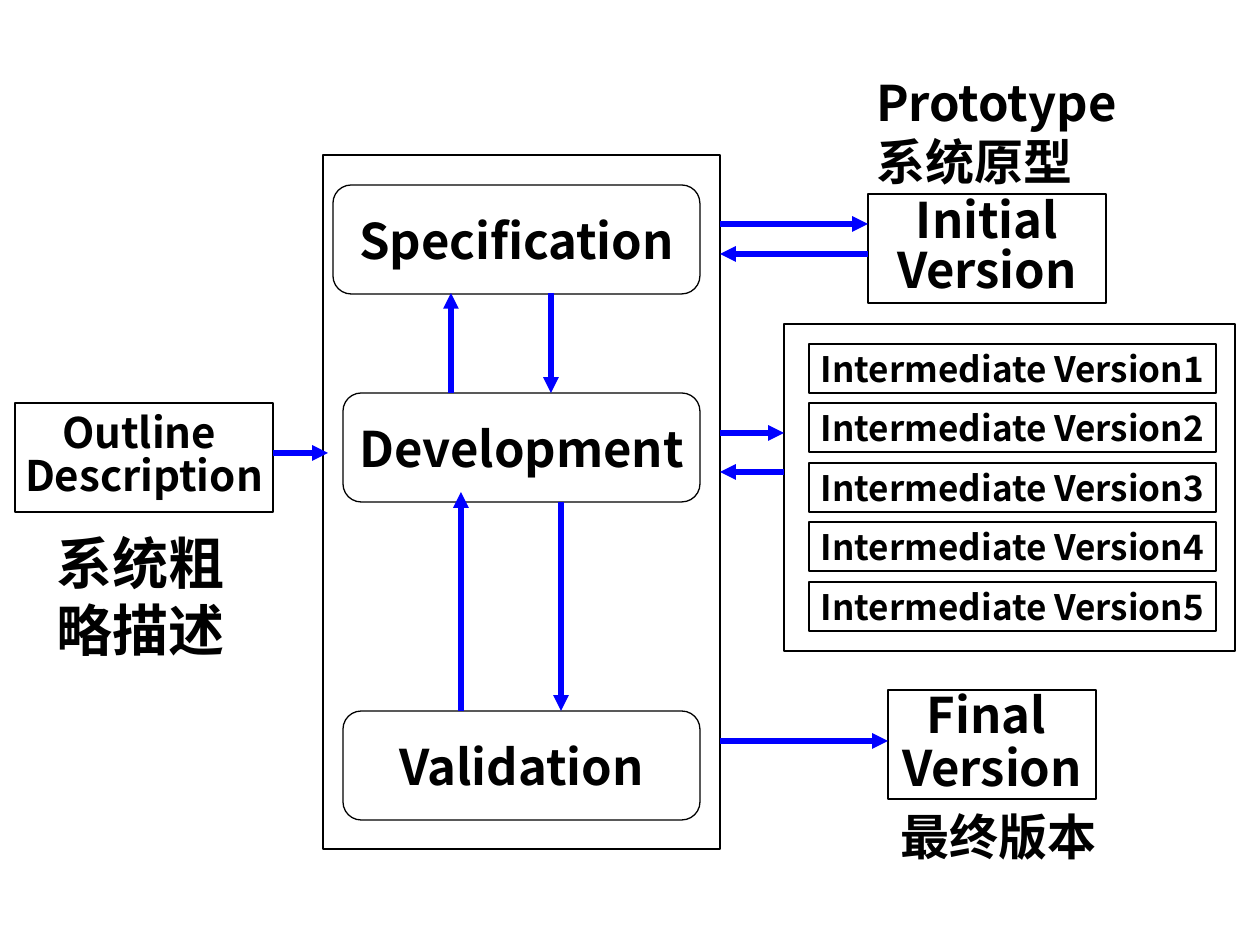
from dataclasses import dataclass

from lxml import etree
from pptx import Presentation
from pptx.dml.color import RGBColor
from pptx.enum import shapes, text
from pptx.oxml.ns import qn
from pptx.util import Pt

EMU_PER_PX = 914400 / 126


@dataclass(frozen=True)
class Theme:
    font: str = "Noto Sans CJK SC"
    ink: RGBColor = RGBColor(0, 0, 0)
    arrow: RGBColor = RGBColor(0, 0, 255)
    small: int = 20
    medium: int = 24
    large: int = 28
    huge: int = 32
    outline: float = 0.75
    arrow_width: int = 3


THEME = Theme()


def px(length):
    return round(length * EMU_PER_PX)


def write_lines(frame, lines, size, align, spacing=None):
    """Write each line as one paragraph holding one bold run."""
    for index, line in enumerate(lines):
        paragraph = frame.paragraphs[0] if index == 0 else frame.add_paragraph()
        paragraph.alignment = align
        if spacing:
            paragraph.line_spacing = spacing
        run = paragraph.add_run()
        run.text = line
        run.font.name = THEME.font
        run.font.size = Pt(size)
        run.font.bold = True
        run.font.color.rgb = THEME.ink
        east_asian = etree.SubElement(run.font._element, qn("a:ea"))
        east_asian.set("typeface", THEME.font)


def add_box(slide, bounds, lines=(), size=THEME.large, spacing=None, rounded=False):
    """Add an outlined box with optional centred text."""
    kind = shapes.MSO_SHAPE.ROUNDED_RECTANGLE if rounded else shapes.MSO_SHAPE.RECTANGLE
    shape = slide.shapes.add_shape(kind, *map(px, bounds))
    shape.shadow.inherit = False
    shape.fill.background()
    shape.line.color.rgb = THEME.ink
    shape.line.width = Pt(THEME.outline)
    frame = shape.text_frame
    frame.word_wrap = False
    frame.vertical_anchor = text.MSO_ANCHOR.MIDDLE
    write_lines(frame, lines, size, text.PP_ALIGN.CENTER, spacing)


def add_label(slide, bounds, lines, size, wrap=True):
    """Add a free-standing, left-aligned label."""
    frame = slide.shapes.add_textbox(*map(px, bounds)).text_frame
    frame.word_wrap = wrap
    frame.auto_size = text.MSO_AUTO_SIZE.SHAPE_TO_FIT_TEXT
    write_lines(frame, lines, size, text.PP_ALIGN.LEFT)


def add_arrow(slide, start_x, start_y, end_x, end_y):
    """Add a straight arrow pointing at its end."""
    connector = slide.shapes.add_connector(
        shapes.MSO_CONNECTOR.STRAIGHT, *map(px, (start_x, start_y, end_x, end_y)))
    connector.line.color.rgb = THEME.arrow
    connector.line.width = Pt(THEME.arrow_width)
    head = etree.SubElement(connector.line._get_or_add_ln(), qn("a:tailEnd"))
    head.set("type", "triangle")
    etree.SubElement(connector._element.spPr, qn("a:effectLst"))


def main():
    presentation = Presentation()
    presentation.slide_width = px(1260)
    presentation.slide_height = px(945)
    slide = presentation.slides.add_slide(presentation.slide_layouts[6])

    # Group frames
    add_box(slide, (784, 324, 451, 327))
    add_box(slide, (323, 155, 397, 694))

    # Input
    add_box(slide, (15, 403, 258, 109), ("Outline ", "Description"), THEME.medium, 0.85)

    # Concurrent activities
    for name, left, top, width in (("Specification", 333, 185, 367),
                                   ("Development", 343, 393, 357),
                                   ("Validation", 343, 711, 357)):
        add_box(slide, (left, top, width, 109), (name,), rounded=True)

    # Versions
    add_box(slide, (868, 194, 238, 109), ("Initial", "Version"), spacing=0.85)
    for index in range(5):
        add_box(slide, (809, 344 + index * 119 // 2, 407, 49),
                (f"Intermediate Version{index + 1}",), THEME.small)
    add_box(slide, (888, 690, 208, 109), ("Final ", "Version"), spacing=0.9)

    # Arrows: start x, start y, end x, end y
    for ends in (
        (720, 224, 868, 224), (868, 254, 720, 254),  # initial version
        (551, 293, 551, 393), (451, 393, 451, 293),  # specification, development
        (561, 502, 561, 711), (461, 711, 461, 492),  # development, validation
        (720, 433, 784, 433), (784, 472, 720, 472),  # intermediate versions
        (273, 453, 328, 453),                        # outline description
        (720, 741, 888, 741),                        # final version
    ):
        add_arrow(slide, *ends)

    # Labels
    add_label(slide, (864, 66, 268, 131), ("Prototype", "系统原型"), THEME.large, wrap=False)
    add_label(slide, (44, 522, 198, 147), ("系统粗略描述",), THEME.huge)
    add_label(slide, (888, 800, 238, 72), ("最终版本",), THEME.large)

    presentation.save("out.pptx")


if __name__ == "__main__":
    main()
